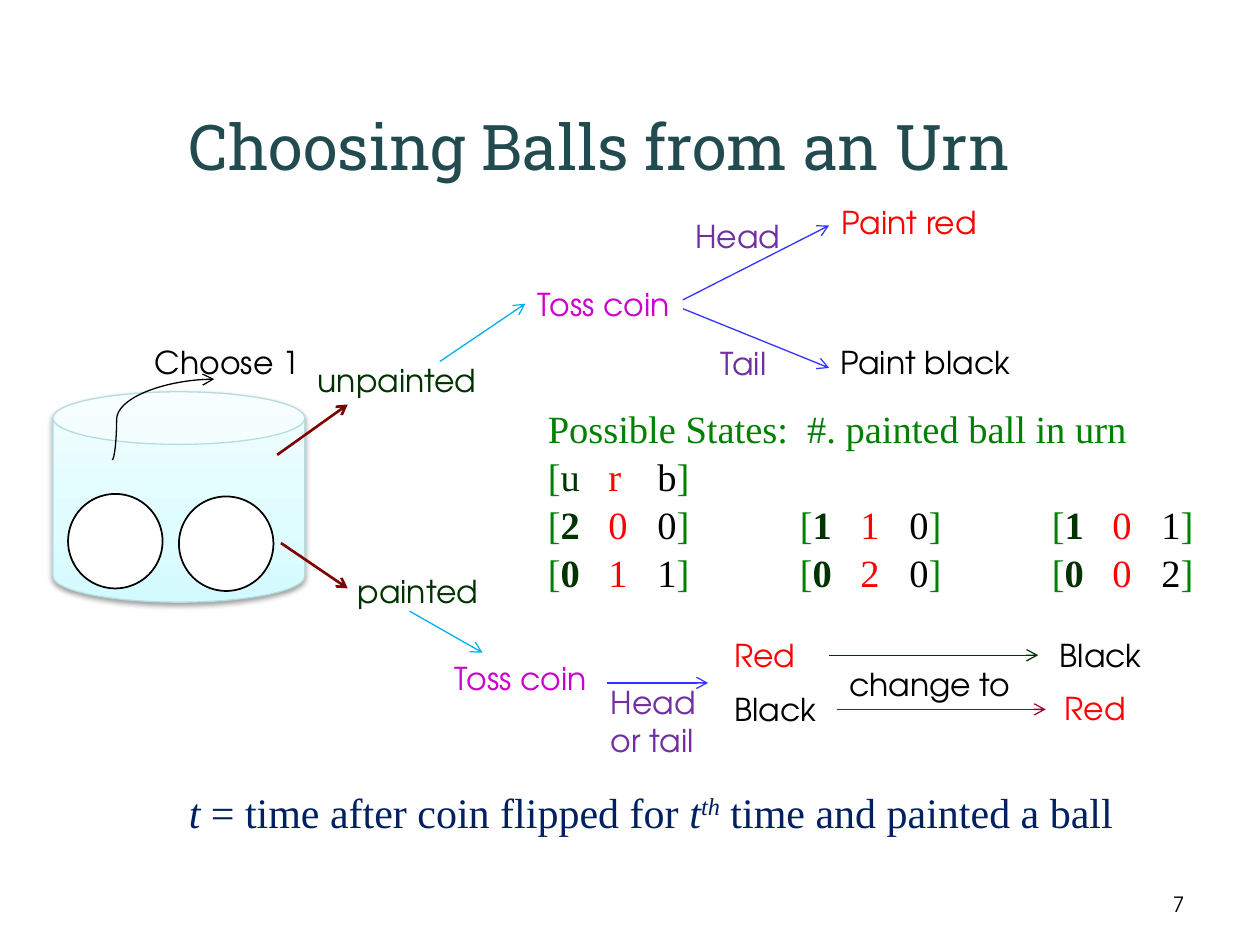
from lxml import etree
from pptx import Presentation, util as u
from pptx.dml.color import RGBColor
from pptx.enum import shapes, text
from pptx.oxml import parse_xml
from pptx.oxml.ns import nsdecls, qn

COLORS = {
    "black": "000000", "white": "FFFFFF", "title": "224B50", "navy": "002060",
    "dark_green": "003300", "green": "008000", "red": "FF0000", "magenta": "CC00CC",
    "purple": "7030A0", "blue": "3333FF", "cyan": "00B0F0", "maroon": "800000",
    "wine": "990033", "urn_line": "B6DCDF",
}
URN_STOPS = [(0, "D3FBFF"), (35, "DFFCFF"), (100, "F2FEFF")]
SANS, SERIF, SLAB = "TeX Gyre Adventor", "Times New Roman", "Roboto Slab"


def rgb(name):
    return RGBColor.from_string(COLORS[name])


class Slide:
    """Holds the current slide and its drawing style."""

    def __init__(self, prs):
        self.s = prs.slides.add_slide(prs.slide_layouts[6])

    def style(self, r, color, size, font, bold=False, italic=False):
        r.font.name, r.font.size = font, u.Pt(size)
        r.font.bold, r.font.italic = bold, italic
        r.font.color.rgb = rgb(color)

    def box(self, x, y, w, h, grow=True):
        sp = self.s.shapes.add_textbox(*map(u.Inches, (x, y, w, h)))
        tf = sp.text_frame
        tf.word_wrap = True
        if grow:
            tf.auto_size = text.MSO_AUTO_SIZE.SHAPE_TO_FIT_TEXT
        return sp

    def label(self, words, x, y, w, color, h=0.4, size=18, font=SANS, inset=0.1, grow=True):
        sp = self.box(x, y, w, h, grow)
        tf = sp.text_frame
        tf.margin_left = u.Inches(inset)
        tf.text = words
        for p in tf.paragraphs:
            for r in p.runs:
                self.style(r, color, size, font)
        return sp

    def runs(self, p, parts, size, font):
        """Each part is (words, color, font options)."""
        for words, color, options in parts:
            r = p.add_run()
            r.text = words
            self.style(r, color, size, font, **options)

    def shape(self, kind, x, y, w, h, line, width):
        sp = self.s.shapes.add_shape(kind, *map(u.Inches, (x, y, w, h)))
        sp.shadow.inherit = False
        sp.fill.solid()
        sp.fill.fore_color.rgb = rgb("white")
        sp.line.color.rgb = rgb(line)
        sp.line.width = u.Pt(width)
        return sp

    def arrow(self, start, end, color, width=0.75, kind=shapes.MSO_CONNECTOR.STRAIGHT):
        c = self.s.shapes.add_connector(kind, *map(u.Inches, start + end))
        c.line.color.rgb = rgb(color)
        c.line.width = u.Pt(width)
        etree.SubElement(c.line._get_or_add_ln(), qn("a:tailEnd"), type="arrow")
        etree.SubElement(c._element.spPr, qn("a:effectLst"))
        return c

    def urn(self, x, y, w, h):
        sp = self.shape(shapes.MSO_SHAPE.CAN, x, y, w, h, "urn_line", 0.75)
        spPr = sp._element.spPr
        stops = "".join(f'<a:gs pos="{pos * 1000}"><a:srgbClr val="{color}"/></a:gs>'
                        for pos, color in URN_STOPS)
        spPr.replace(spPr.find(qn("a:solidFill")), parse_xml(
            f'<a:gradFill {nsdecls("a")} rotWithShape="1"><a:gsLst>{stops}</a:gsLst>'
            '<a:lin ang="16200000" scaled="0"/></a:gradFill>'))
        spPr.find(qn("a:effectLst")).append(parse_xml(
            f'<a:outerShdw {nsdecls("a")} blurRad="{u.Pt(3.1)}" dist="{u.Pt(1.6)}" dir="5400000" '
            'rotWithShape="0"><a:srgbClr val="000000"><a:alpha val="38000"/></a:srgbClr>'
            '</a:outerShdw>'))

    def states(self, x, y, w, h, heading, rows):
        """Each row lists states of unpainted, red and black balls."""
        tf = self.box(x, y, w, h).text_frame
        tf.text = heading
        self.style(tf.paragraphs[0].runs[0], "green", 22, SERIF)
        for row in rows:
            p = tf.add_paragraph()
            for i, (unpainted, red, black) in enumerate(row):
                self.runs(p, [
                    ("\t[" if i else "[", "green", {}),
                    (unpainted + "\t", "dark_green", {"bold": unpainted.isdigit()}),
                    (red + "\t", "red", {}),
                    (black, "black", {}),
                    ("]", "green", {}),
                ], 22, SERIF)
            tabs = etree.SubElement(p._p.get_or_add_pPr(), qn("a:tabLst"))
            for group in (0, 2, 4):
                for offset in (0, 0.48, 0.87):
                    if group + offset:
                        etree.SubElement(tabs, qn("a:tab"), algn="l",
                                         pos=str(u.Inches(group + offset)))
        for p in tf.paragraphs:
            p.line_spacing = 1.04


def main():
    prs = Presentation()
    prs.slide_width, prs.slide_height = u.Inches(10), u.Inches(7.5)
    s = Slide(prs)

    # Title and slide number
    title = s.label("Choosing Balls from an Urn", 1.4, 0.75, 7.75, "title",
                    h=0.8, size=36, font=SLAB, grow=False)
    title.text_frame.vertical_anchor = text.MSO_ANCHOR.MIDDLE
    number = s.label("7", 7.17, 7.03, 2.33, "black", h=0.35, size=12, grow=False)
    number.text_frame.paragraphs[0].alignment = text.PP_ALIGN.RIGHT

    # Urn with two balls
    s.urn(0.42, 3.11, 2, 1.67)
    for x, y in ((0.54, 3.92), (1.42, 3.94)):
        s.shape(shapes.MSO_SHAPE.OVAL, x, y, 0.75, 0.75, "black", 1)

    # Choosing a ball
    s.label("Choose 1", 1.13, 2.67, 1.51, "black")
    curve = s.arrow((0.89, 3.65), (1.7, 3.01), "black", kind=shapes.MSO_CONNECTOR.CURVE)
    guides = curve._element.spPr.find(qn("a:prstGeom")).get_or_add_avLst()
    etree.SubElement(guides, qn("a:gd"), name="adj1", fmla="val 4400")
    s.arrow((2.2, 3.61), (2.76, 3.21), "maroon", 1.5)
    s.arrow((2.23, 4.31), (2.76, 4.67), "maroon", 1.5)

    # Unpainted branch
    s.label("unpainted", 2.42, 2.82, 1.51, "dark_green")
    toss = s.label("Toss coin", 4.17, 2.21, 1.41, "magenta")
    s.arrow((3.49, 2.87), (4.17, 2.41), "cyan").end_connect(toss, 1)
    s.arrow((5.42, 2.38), (6.58, 1.79), "blue")
    s.arrow((5.42, 2.45), (6.58, 2.92), "blue")
    s.label("Head", 5.42, 1.67, 1.08, "purple")
    s.label("Tail", 5.62, 2.68, 0.71, "purple")
    s.label("Paint red", 6.58, 1.56, 1.51, "red")
    s.label("Paint black", 6.57, 2.67, 1.76, "black")

    # Painted branch
    s.label("painted", 2.74, 4.49, 1.51, "dark_green")
    s.arrow((3.25, 4.85), (3.83, 5.18), "cyan")
    s.label("Toss coin", 3.51, 5.18, 1.41, "magenta")
    s.arrow((4.82, 5.42), (5.62, 5.42), "blue")
    s.label("Head\nor tail", 4.75, 5.37, 1.08, "purple", h=0.71)

    # Colour swap
    red = s.label("Red", 5.73, 5, 0.85, "red")
    black = s.label("Black", 8.24, 5, 1.09, "black", inset=0.17)
    swap = s.arrow((6.58, 5.2), (8.24, 5.2), "dark_green")
    swap.begin_connect(red, 3)
    swap.end_connect(black, 1)
    s.label("Black", 5.66, 5.43, 1.01, "black", inset=0.17)
    s.arrow((6.64, 5.63), (8.3, 5.63), "wine")
    s.label("Red", 8.35, 5.42, 0.81, "red")
    s.label("change to", 6.64, 5.23, 1.51, "black")

    # Possible states
    s.states(4.25, 3.15, 5.47, 1.58, "Possible States:  #. painted ball in urn",
             [["urb"], ["200", "110", "101"], ["011", "020", "002"]])

    # Meaning of t
    p = s.box(1.4, 6.19, 8.1, 0.47).text_frame.paragraphs[0]
    slanted = {"italic": True}
    s.runs(p, [("t", "navy", slanted), (" = time after coin flipped for ", "navy", {}),
               ("t", "navy", slanted), ("th", "navy", slanted),
               (" time and painted a ball", "navy", {})], 24, SERIF)
    p.runs[3].font._element.set("baseline", "30000")

    prs.save("out.pptx")


if __name__ == "__main__":
    main()
